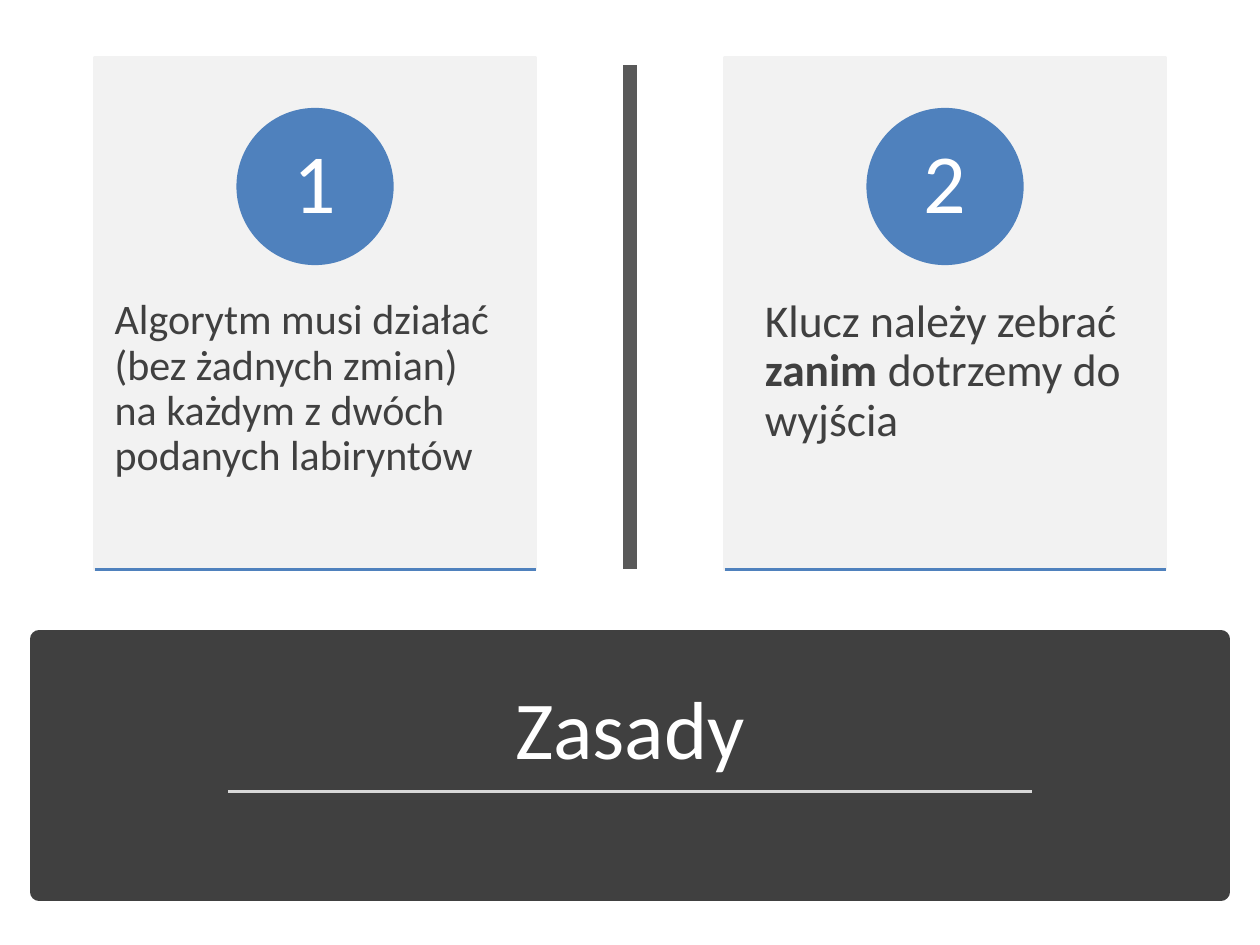
from dataclasses import dataclass
from typing import NamedTuple

from pptx import Presentation
from pptx.dml.color import RGBColor
from pptx.enum.shapes import MSO_CONNECTOR as Connector, MSO_SHAPE as Shape
from pptx.enum.text import MSO_ANCHOR as Anchor, MSO_AUTO_SIZE as AutoSize, PP_ALIGN as Align
from pptx.oxml.ns import qn
from pptx.util import Pt

PX = 9144  # 100 px to the inch


@dataclass(frozen=True)
class Theme:
    font: str = "Calibri"
    dark: str = "404040"
    divider: str = "595959"
    rule: str = "D9D9D9"
    panel: str = "F2F2F2"
    accent: str = "4F81BD"
    white: str = "FFFFFF"
    title_size: int = 47
    number_size: int = 48


class Box(NamedTuple):
    left: int
    top: int
    width: int
    height: int

    def emu(self) -> list[int]:
        return [length * PX for length in self]


class Run(NamedTuple):
    text: str
    bold: bool = False


@dataclass(frozen=True)
class Card:
    number: str
    left: int
    text_box: Box
    text_size: int
    runs: tuple[Run, ...]


THEME = Theme()
CARD_WIDTH, CARD_TOP, CARD_BOTTOM = 350, 46, 452
CIRCLE_TOP, CIRCLE_SIZE = 87, 122
CARDS = (
    Card("1", 75, Box(59, 201, 366, 244), 24,
         (Run("Algorytm musi działać (bez żadnych zmian) na każdym z dwóch podanych labiryntów"),)),
    Card("2", 575, Box(575, 201, 350, 244), 26,
         (Run("Klucz należy zebrać "), Run("zanim", True), Run(" dotrzemy do wyjścia"))),
)


def add_block(shapes, preset: Shape, box: Box, color: str, line_width: int):
    """Add a preset shape whose fill and outline share one colour."""
    block = shapes.add_shape(preset, *box.emu())
    block.shadow.inherit = False
    block.fill.solid()
    block.fill.fore_color.rgb = RGBColor.from_string(color)
    block.line.color.rgb = RGBColor.from_string(color)
    block.line.width = Pt(line_width)
    return block


def add_line(shapes, start: tuple[int, int], end: tuple[int, int], color: str, width: float) -> None:
    ends = [length * PX for length in (*start, *end)]
    line = shapes.add_connector(Connector.STRAIGHT, *ends)
    line.line.color.rgb = RGBColor.from_string(color)
    line.line.width = Pt(width)
    properties = line._element.spPr
    properties.append(properties.makeelement(qn("a:effectLst"), {}))


def set_margins(frame, horizontal: int, vertical: int) -> None:
    frame.margin_left = frame.margin_right = horizontal * PX
    frame.margin_top = frame.margin_bottom = vertical * PX


def write(frame, runs: tuple[Run, ...], size: int, color: str, align: Align, anchor: Anchor) -> None:
    frame.word_wrap = True
    frame.auto_size = AutoSize.NONE
    frame.vertical_anchor = anchor
    paragraph = frame.paragraphs[0]
    paragraph.alignment = align
    paragraph.line_spacing = 0.9
    paragraph.font.name = THEME.font
    paragraph.font.size = Pt(size)
    paragraph.font.color.rgb = RGBColor.from_string(color)
    for text, bold in runs:
        run = paragraph.add_run()
        run.text = text
        if bold:
            run.font.bold = True


def add_card(slide, card: Card) -> None:
    shapes = slide.shapes.add_group_shape().shapes
    panel = Box(card.left, CARD_TOP, CARD_WIDTH, CARD_BOTTOM - CARD_TOP)
    add_block(shapes, Shape.RECTANGLE, panel, THEME.panel, 2)

    body = shapes.add_textbox(*card.text_box.emu()).text_frame
    set_margins(body, 32, 36)
    write(body, card.runs, card.text_size, THEME.dark, Align.LEFT, Anchor.TOP)

    circle_left = card.left + (CARD_WIDTH - CIRCLE_SIZE) // 2
    circle_box = Box(circle_left, CIRCLE_TOP, CIRCLE_SIZE, CIRCLE_SIZE)
    circle = add_block(shapes, Shape.OVAL, circle_box, THEME.accent, 2)
    set_margins(circle.text_frame, 11, 1)
    write(circle.text_frame, (Run(card.number),), THEME.number_size, THEME.white,
          Align.CENTER, Anchor.MIDDLE)

    add_line(shapes, (card.left, CARD_BOTTOM), (card.left + CARD_WIDTH, CARD_BOTTOM),
             THEME.accent, 2)


def add_title(slide) -> None:
    title = slide.shapes.title
    title.left, title.top, title.width, title.height = Box(43, 520, 914, 102).emu()
    write(title.text_frame, (Run("Zasady"),), THEME.title_size, THEME.white,
          Align.CENTER, Anchor.BOTTOM)
    slide.shapes._spTree.append(title._element)  # bring in front of the banner


def main() -> None:
    presentation = Presentation()
    presentation.slide_width, presentation.slide_height = 1000 * PX, 750 * PX
    title_only = presentation.slide_layouts[5]
    slide = presentation.slides.add_slide(title_only)

    add_block(slide.shapes, Shape.RECTANGLE, Box(31, 507, 938, 201), THEME.dark, 10)
    add_line(slide.shapes, (181, 628), (819, 628), THEME.rule, 1.75)
    add_line(slide.shapes, (500, 52), (500, 452), THEME.divider, 8)
    add_title(slide)
    for card in CARDS:
        add_card(slide, card)
    presentation.save("out.pptx")


if __name__ == "__main__":
    main()
